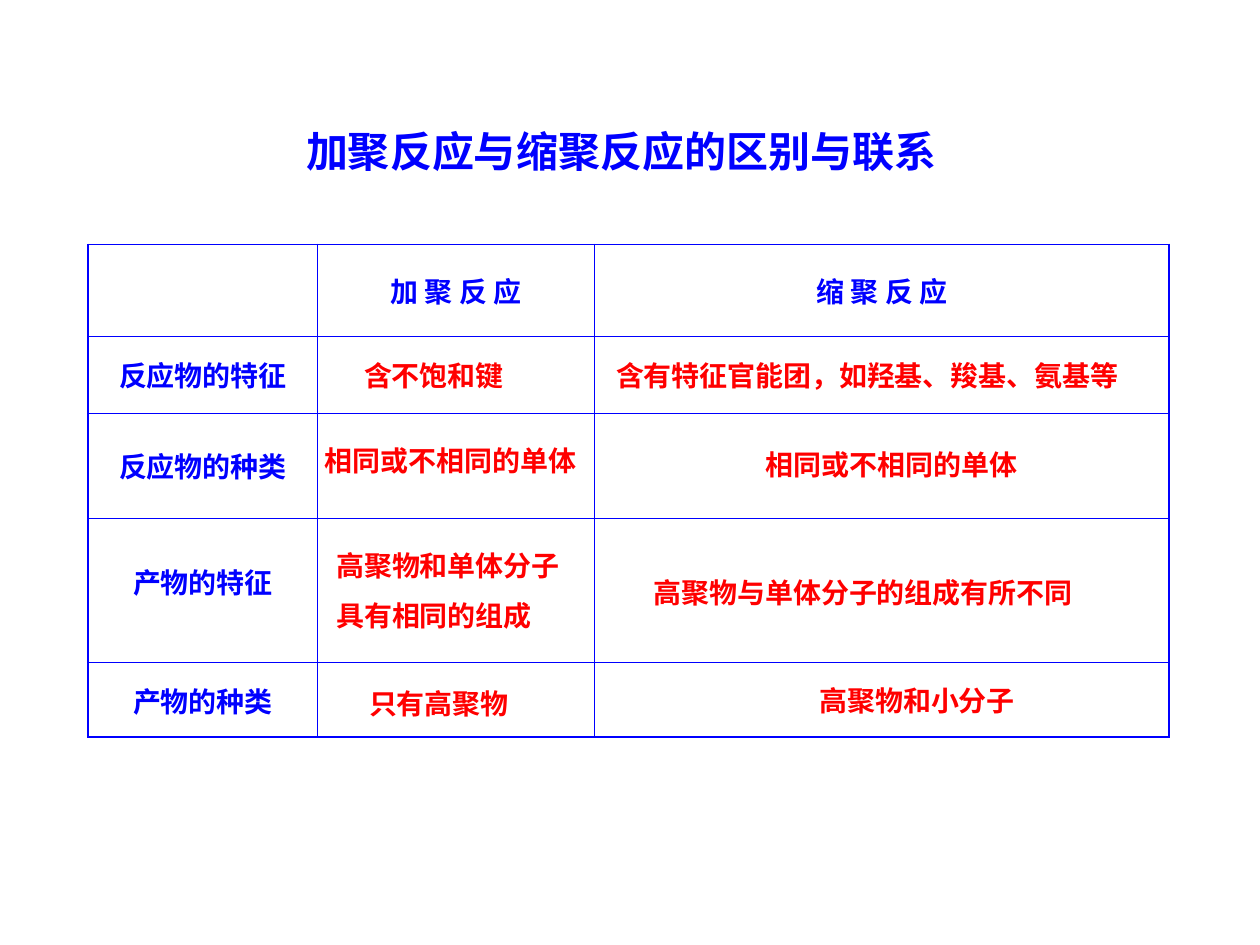
from dataclasses import dataclass

import pptx
import pptx.dml.color
import pptx.enum.text
import pptx.oxml.ns
import pptx.util
from lxml import etree

Cm = pptx.util.Cm
Pt = pptx.util.Pt
Align = pptx.enum.text.PP_ALIGN
qn = pptx.oxml.ns.qn


@dataclass(frozen=True)
class Theme:
    face: str = "Noto Sans CJK SC"
    blue: str = "0000FF"
    red: str = "FF0000"
    head: int = 24
    body: int = 16
    thin: float = 0.45
    thick: float = 1.08


class Page:
    def __init__(self, slide, theme):
        self.slide = slide
        self.theme = theme

    def style(self, para, size, color, align=Align.LEFT, space=1):
        para.alignment = align
        if space != 1:
            para.line_spacing = space
        font = para.font
        font.size = Pt(size)
        font.bold = True
        font.color.rgb = pptx.dml.color.RGBColor.from_string(color)
        font.name = self.theme.face
        # East Asian text takes its face from a separate element
        props = para._p.pPr.find(qn("a:defRPr"))
        etree.SubElement(props, qn("a:ea"), typeface=self.theme.face)

    def text(self, words, spot, size, color, **looks):
        box = self.slide.shapes.add_textbox(*map(Cm, spot))
        frame = box.text_frame
        frame.word_wrap = True
        frame.auto_size = pptx.enum.text.MSO_AUTO_SIZE.SHAPE_TO_FIT_TEXT
        frame.text = words
        self.style(frame.paragraphs[0], size, color, **looks)

    def border(self, cell, side, width):
        props = cell._tc.get_or_add_tcPr()
        line = etree.SubElement(props, qn("a:ln" + side), w=str(Pt(width)))
        fill = etree.SubElement(line, qn("a:solidFill"))
        etree.SubElement(fill, qn("a:srgbClr"), val=self.theme.blue)

    def grid(self, left, top, cols, rows, words):
        theme = self.theme
        frame = self.slide.shapes.add_table(
            len(rows), len(cols), Cm(left), Cm(top), Cm(sum(cols)), Cm(sum(rows)))
        table = frame.table
        table.first_row = table.horz_banding = False
        for col, width in zip(table.columns, cols):
            col.width = Cm(width)
        for row, height in zip(table.rows, rows):
            row.height = Cm(height)
        for y in range(len(rows)):
            for x in range(len(cols)):
                cell = table.cell(y, x)
                cell.text = words.get((y, x), "")
                cell.vertical_anchor = pptx.enum.text.MSO_ANCHOR.MIDDLE
                self.style(cell.text_frame.paragraphs[0], theme.body,
                           theme.blue, Align.CENTER)
                # Thick lines run round the outside only
                outer = {"L": x == 0, "R": x == len(cols) - 1,
                         "T": y == 0, "B": y == len(rows) - 1}
                for side, edge in outer.items():
                    self.border(cell, side, theme.thick if edge else theme.thin)
                cell.fill.background()
        return table


def main():
    deck = pptx.Presentation()
    deck.slide_width, deck.slide_height = Cm(25.4), Cm(19.05)
    theme = Theme()
    page = Page(deck.slides.add_slide(deck.slide_layouts[6]), theme)

    # Title
    page.text("加聚反应与缩聚反应的区别与联系", (5.92, 2.41, 15.34, 1.27),
              theme.head, theme.blue)

    # Table with its headings
    heads = {
        (0, 1): "加 聚 反 应",
        (0, 2): "缩 聚 反 应",
        (1, 0): "反应物的特征",
        (2, 0): "反应物的种类",
        (3, 0): "产物的特征",
        (4, 0): "产物的种类",
    }
    table = page.grid(1.78, 4.93, (4.62, 5.59, 11.58),
                      (1.85, 1.55, 2.11, 2.92, 1.5), heads)
    table.cell(3, 0).margin_bottom = Cm(0.5)

    # Answers laid over the table: words, place, line spacing, alignment
    answers = [
        ("含有特征官能团，如羟基、羧基、氨基等", (12.17, 7.11, 11.56, 0.94), 1, Align.LEFT),
        ("相同或不相同的单体", (6.3, 8.81, 5.87, 0.94), 1, Align.LEFT),
        ("相同或不相同的单体", (15.19, 8.89, 6.81, 0.94), 1, Align.LEFT),
        ("高聚物和单体分子具有相同的组成", (6.53, 10.59, 5.36, 2.29), 1.5, Align.LEFT),
        ("高聚物与单体分子的组成有所不同", (12.93, 11.48, 9.93, 0.94), 1, Align.LEFT),
        ("只有高聚物", (7.19, 13.51, 3.94, 1.14), 1.3, Align.LEFT),
        ("高聚物和小分子", (15.72, 13.46, 5.54, 1.14), 1.3, Align.CENTER),
        ("含不饱和键", (7.09, 6.91, 4.32, 1.14), 1.3, Align.LEFT),
    ]
    for words, spot, space, align in answers:
        page.text(words, spot, theme.body, theme.red, align=align, space=space)

    deck.save("out.pptx")


if __name__ == "__main__":
    main()
